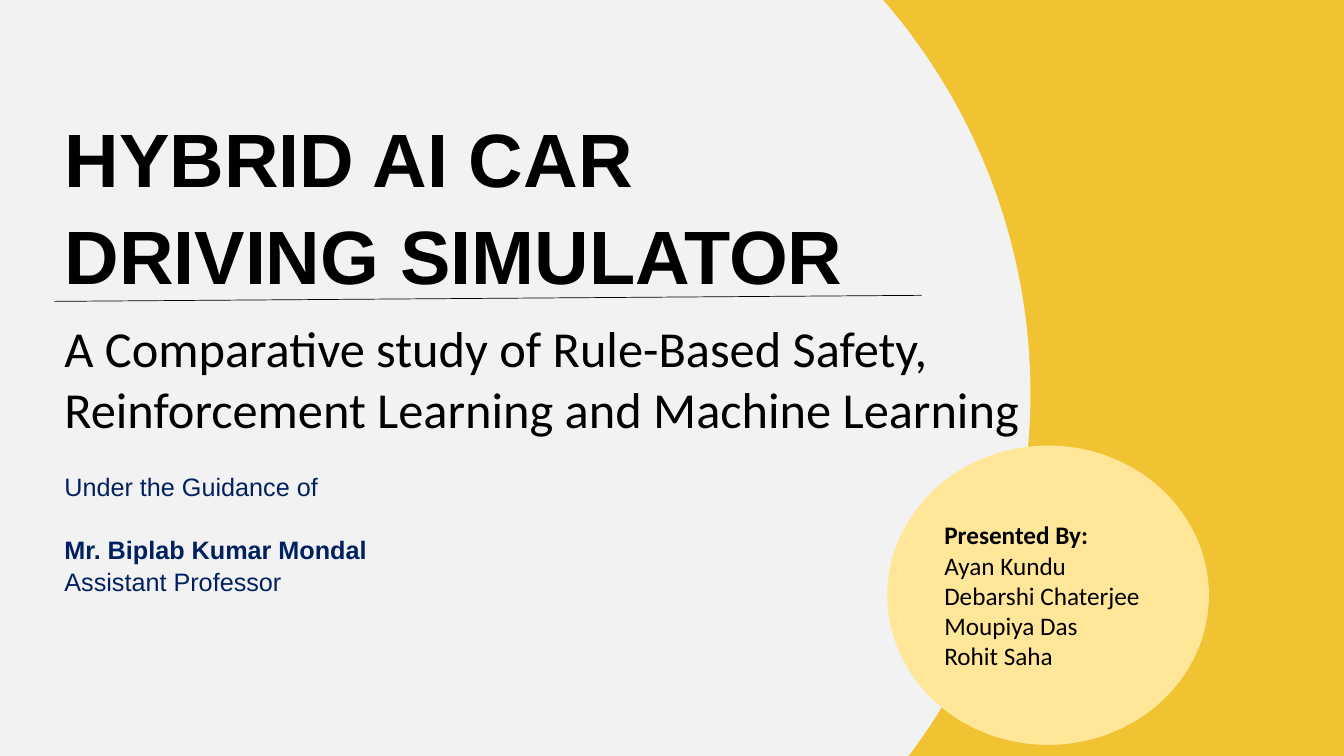
from lxml import etree
from pptx import Presentation
from pptx.dml.color import RGBColor
from pptx.enum.shapes import MSO_CONNECTOR, MSO_SHAPE
from pptx.enum.text import MSO_ANCHOR, MSO_AUTO_SIZE, PP_ALIGN
from pptx.oxml.ns import qn
from pptx.util import Pt

RECT, OVAL = MSO_SHAPE.RECTANGLE, MSO_SHAPE.OVAL
LINE = MSO_CONNECTOR.STRAIGHT
TOP, MIDDLE = MSO_ANCHOR.TOP, MSO_ANCHOR.MIDDLE
LEFT, JUSTIFY = PP_ALIGN.LEFT, PP_ALIGN.JUSTIFY
FIXED = MSO_AUTO_SIZE.NONE
SCALE = 9144
BLACK, NAVY = "000000", "002060"


def px(*sizes):
    return [n * SCALE for n in sizes]


def paint(target, color):
    target.solid()
    target.fore_color.rgb = RGBColor.from_string(color)


def plate(slide, kind, box, color):
    shape = slide.shapes.add_shape(kind, *px(*box))
    shape.shadow.inherit = False
    paint(shape.fill, color)
    shape.line.fill.background()
    return shape


def write(shape, lines, font, size, color, anchor=TOP, align=LEFT, pitch=1.0):
    frame = shape.text_frame
    frame.word_wrap = True
    frame.auto_size = FIXED
    frame.vertical_anchor = anchor
    for i, (text, bold, gap) in enumerate(lines):
        para = frame.add_paragraph() if i else frame.paragraphs[0]
        para.alignment = align
        para.line_spacing = pitch
        para.space_before = Pt(0)
        para.space_after = Pt(gap)
        run = para.add_run()
        run.text = text
        run.font.name = font
        run.font.size = Pt(size)
        run.font.bold = bold
        paint(run.font.fill, color)


def backdrop(slide):
    plate(slide, RECT, (0, -35, 1386, 785), "F1C232")
    plate(slide, OVAL, (-185, -208, 1207, 1197), "F2F2F2")


def heading(slide, box):
    x, y, w, h = box
    title = slide.shapes.title
    title.left, title.top, title.width, title.height = px(*box)
    title.element.getparent().append(title.element)
    write(title, [("HYBRID AI CAR DRIVING SIMULATOR", True, 0)],
          "Arial", 54, BLACK, pitch=1.06)
    rule = slide.shapes.add_connector(LINE, *px(x, y + h + 6, x + w, y + h))
    paint(rule.line.fill, BLACK)
    rule.line.width = Pt(0.5)
    props = rule.element.find(qn("p:spPr"))
    etree.SubElement(props, qn("a:effectLst"))


def topic(slide, box):
    text = "A Comparative study of Rule-Based Safety, Reinforcement Learning and Machine Learning"
    write(slide.shapes.add_textbox(*px(*box)), [(text, False, 0)],
          "Calibri", 36, BLACK)


def team(slide, box):
    names = ["Ayan Kundu", "Debarshi Chaterjee", "Moupiya Das", "Rohit Saha"]
    lines = [("Presented By:", True, 0)] + [(name, False, 0) for name in names]
    write(plate(slide, OVAL, box, "FFE699"), lines,
          "Calibri", 18, BLACK, MIDDLE, JUSTIFY)


def guide(slide, box):
    lines = [("Under the Guidance of", False, 22),
             ("Mr. Biplab Kumar Mondal", True, 0),
             ("Assistant Professor", False, 0)]
    write(slide.shapes.add_textbox(*px(*box)), lines,
          "Arial", 18, NAVY, pitch=1.06)


def main():
    deck = Presentation()
    deck.slide_width, deck.slide_height = px(1333, 750)
    slide = deck.slides.add_slide(deck.slide_layouts[5])
    backdrop(slide)
    heading(slide, (54, 101, 860, 192))
    topic(slide, (54, 310, 1032, 162))
    team(slide, (880, 442, 319, 297))
    guide(slide, (54, 461, 649, 131))
    deck.save("out.pptx")


if __name__ == "__main__":
    main()
